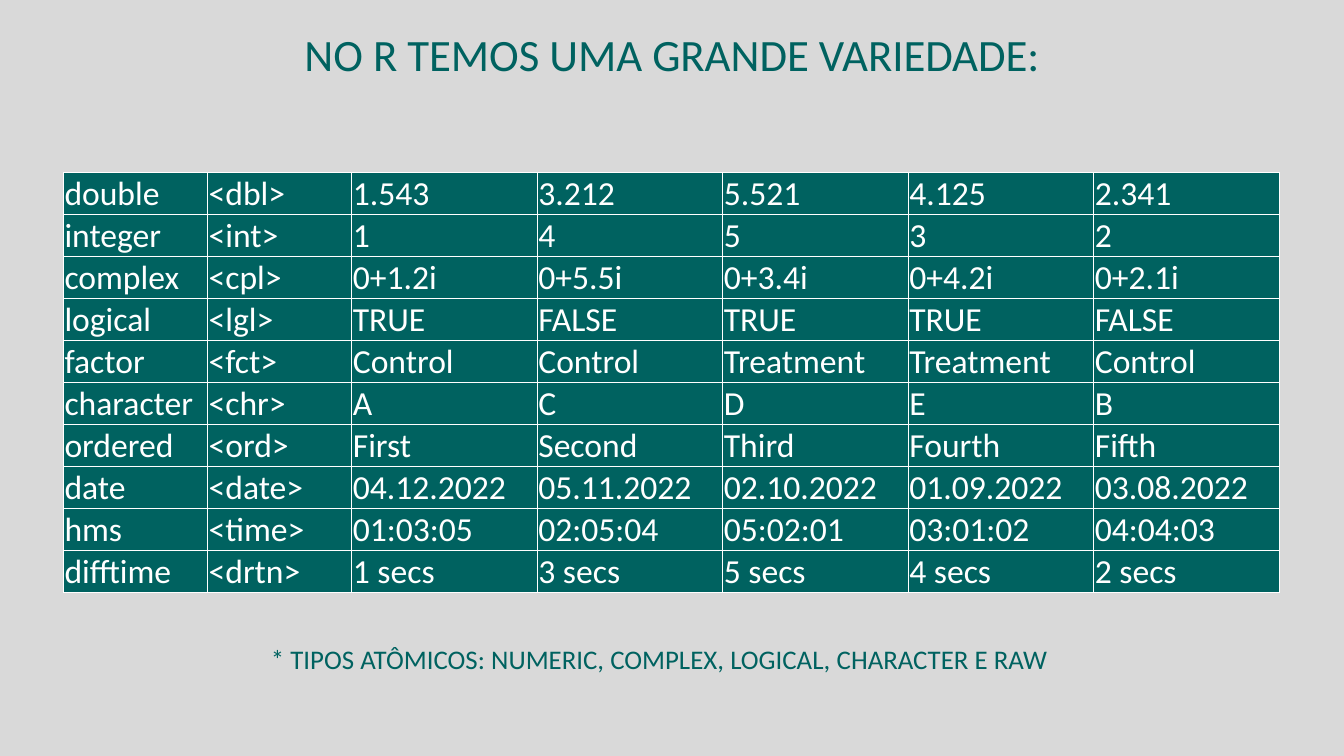
"""Build a slide that shows the variety of data types in R."""
from dataclasses import dataclass

from lxml import etree
from pptx import Presentation
from pptx import util as u
from pptx.dml.color import RGBColor
from pptx.enum import text
from pptx.oxml.ns import qn


@dataclass(frozen=True)
class Theme:
    """Colours, font and type sizes of the deck."""
    back: str = "D9D9D9"
    main: str = "006260"
    light: str = "FFFFFF"
    face: str = "Calibri"
    head: int = 40
    body: int = 24
    line: int = 1


TYPES = """double|<dbl>|1.543|3.212|5.521|4.125|2.341
integer|<int>|1|4|5|3|2
complex|<cpl>|0+1.2i|0+5.5i|0+3.4i|0+4.2i|0+2.1i
logical|<lgl>|TRUE|FALSE|TRUE|TRUE|FALSE
factor|<fct>|Control|Control|Treatment|Treatment|Control
character|<chr>|A|C|D|E|B
ordered|<ord>|First|Second|Third|Fourth|Fifth
date|<date>|04.12.2022|05.11.2022|02.10.2022|01.09.2022|03.08.2022
hms|<time>|01:03:05|02:05:04|05:02:01|03:01:02|04:04:03
difftime|<drtn>|1 secs|3 secs|5 secs|4 secs|2 secs"""


def apply(item, form):
    """Set each attribute named in a format dict."""
    for key, value in form.items():
        setattr(item, key, value)


class Page:
    """Hold the style and the current slide."""

    def __init__(self, deck, theme):
        """Add a title-only slide with a plain background."""
        self.theme = theme
        self.slide = deck.slides.add_slide(deck.slide_layouts[5])
        fill = self.slide.background.fill
        fill.solid()
        fill.fore_color.rgb = RGBColor.from_string(theme.back)

    def label(self, para, words, size, color):
        """Put one styled run in a paragraph."""
        run = para.add_run()
        run.text = words
        apply(run.font, {"name": self.theme.face, "size": u.Pt(size)})
        run.font.color.rgb = RGBColor.from_string(color)
        return run

    def caps(self, shape, words, box, size):
        """Place a centred line in small capitals."""
        left, top, width, height = map(u.Inches, box)
        apply(shape, {"left": left, "top": top, "width": width, "height": height})
        frame = shape.text_frame
        apply(frame, {"word_wrap": True, "auto_size": text.MSO_AUTO_SIZE.NONE,
                      "vertical_anchor": text.MSO_ANCHOR.MIDDLE})
        para = frame.paragraphs[0]
        para.alignment = text.PP_ALIGN.CENTER
        run = self.label(para, words, size, self.theme.main)
        run._r.get_or_add_rPr().set("cap", "small")

    def title(self, words, box):
        """Fill the title placeholder."""
        self.caps(self.slide.shapes.title, words, box, self.theme.head)

    def note(self, words, box):
        """Add a note below the table."""
        shape = self.slide.shapes.add_textbox(*map(u.Inches, box))
        self.caps(shape, words, box, self.theme.body)

    def cell(self, cell, words):
        """Style and fill one table cell."""
        props = cell._tc.get_or_add_tcPr()
        for side in "LRTB":
            line = etree.SubElement(props, qn(f"a:ln{side}"),
                                    w=str(u.Pt(self.theme.line)))
            solid = etree.SubElement(line, qn("a:solidFill"))
            etree.SubElement(solid, qn("a:srgbClr"), val=self.theme.light)
        cell.fill.solid()
        cell.fill.fore_color.rgb = RGBColor.from_string(self.theme.main)
        thin = u.Inches(0.01)
        apply(cell, {"margin_left": thin, "margin_right": thin, "margin_top": thin,
                     "margin_bottom": 0, "vertical_anchor": text.MSO_ANCHOR.BOTTOM})
        para = cell.text_frame.paragraphs[0]
        self.label(para, words, self.theme.body, self.theme.light)

    def table(self, rows, widths, box):
        """Add a table with equal rows."""
        shape = self.slide.shapes.add_table(len(rows), len(widths),
                                            *map(u.Inches, box))
        grid = shape.table
        apply(grid, {"first_row": False, "horz_banding": False})
        for col, width in zip(grid.columns, widths):
            col.width = u.Inches(width)
        for row, words in zip(grid.rows, rows):
            for cell, word in zip(row.cells, words):
                self.cell(cell, word)


def main():
    """Build and save the deck."""
    deck = Presentation()
    apply(deck, {"slide_width": u.Inches(13.33), "slide_height": u.Inches(7.5)})
    page = Page(deck, Theme())
    rows = [line.split("|") for line in TYPES.splitlines()]
    page.table(rows, [1.43] * 2 + [1.84] * 5, (0.63, 1.71, 12.06, 4.08))
    page.title("no r temos uma grande variedade:", (0.76, 0, 11.81, 0.98))
    page.note("* tipos atômicos: numeric, complex, logical, character e raw",
              (0.63, 6.02, 11.81, 0.98))
    deck.save("out.pptx")


if __name__ == "__main__":
    main()
